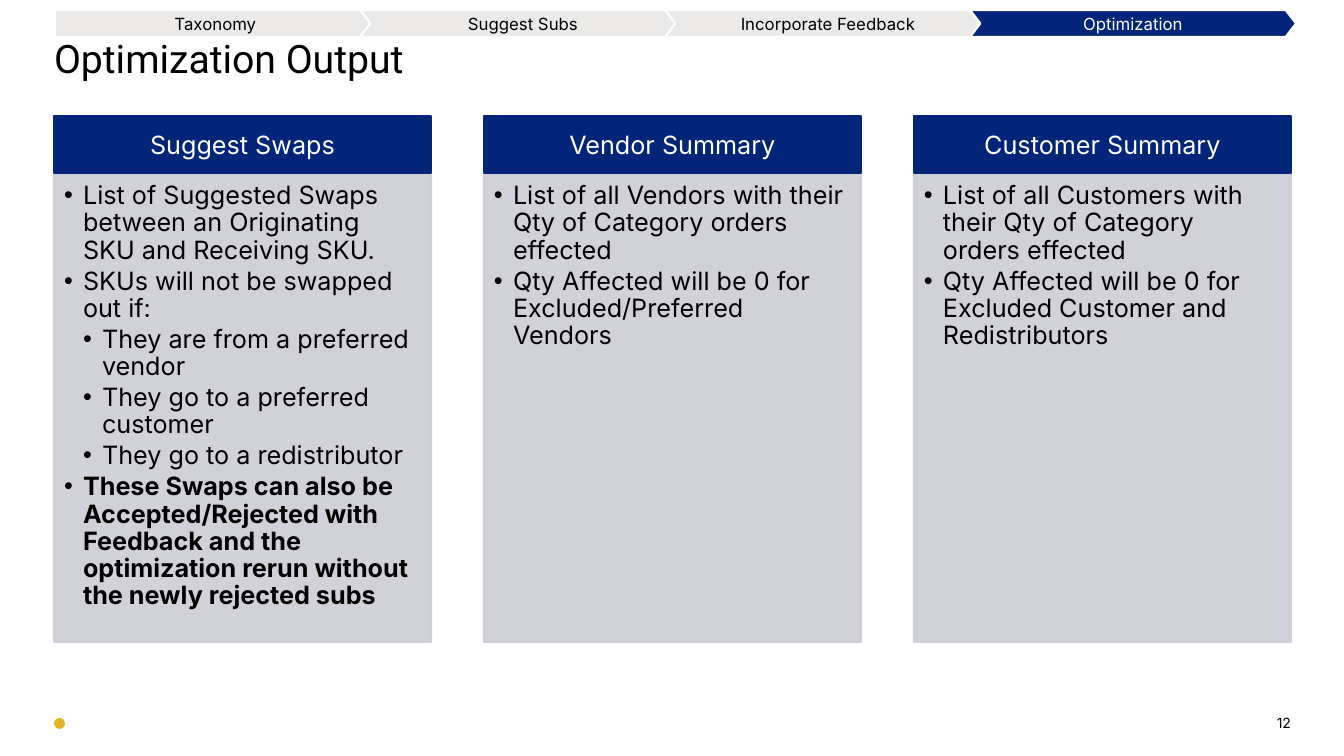
from lxml import etree
from pptx import Presentation, util as u
from pptx.dml.color import RGBColor
from pptx.enum import shapes, text
from pptx.oxml.ns import qn

PX = 12192000 / 1344
COLORS = {
    "navy": "022479",
    "step": "EBEAE9",
    "panel": "CCCDD7",
    "gold": "E1B523",
    "ink": "000000",
    "white": "FFFFFF",
}
STEPS = ["Taxonomy", "Suggest Subs", "Incorporate Feedback", "Optimization"]
COLUMNS = [
    ("Suggest Swaps", [
        (1, "List of Suggested Swaps between an Originating SKU and Receiving SKU.", False),
        (1, "SKUs will not be swapped out if:", False),
        (2, "They are from a preferred vendor", False),
        (2, "They go to a preferred customer", False),
        (2, "They go to a redistributor", False),
        (1, "These Swaps can also be Accepted/Rejected with Feedback and the "
            "optimization rerun without the newly rejected subs", True),
    ]),
    ("Vendor Summary", [
        (1, "List of all Vendors with their Qty of Category orders effected", False),
        (1, "Qty Affected will be 0 for Excluded/Preferred Vendors", False),
    ]),
    ("Customer Summary", [
        (1, "List of all Customers with their Qty of Category orders effected", False),
        (1, "Qty Affected will be 0 for Excluded Customer and Redistributors", False),
    ]),
]


def px(length):
    return u.Emu(round(length * PX))


def rgb(name):
    return RGBColor.from_string(COLORS[name])


def place(item, left, top, width, height):
    item.left, item.top, item.width, item.height = map(px, (left, top, width, height))


def paint(item, fill, line):
    item.fill.solid()
    item.fill.fore_color.rgb = rgb(fill)
    item.line.color.rgb = rgb(line)
    item.line.width = u.Pt(1.5)


def set_frame(frame, anchor, insets=(0, 0, 0, 0)):
    frame.word_wrap = True
    frame.auto_size = text.MSO_AUTO_SIZE.NONE
    frame.vertical_anchor = anchor
    frame.margin_left, frame.margin_top, frame.margin_right, frame.margin_bottom = map(px, insets)


def style(paragraph, size, color="ink", face="Inter", bold=False, align=text.PP_ALIGN.LEFT):
    paragraph.alignment = align
    for run in paragraph.runs:
        run.font.size = u.Pt(size)
        run.font.name = face
        run.font.bold = bold
        run.font.color.rgb = rgb(color)


def add_label(slide, kind, box, label, size, fill, line, color):
    item = slide.shapes.add_shape(kind, *map(px, box))
    item.shadow.inherit = False
    paint(item, fill, line)
    set_frame(item.text_frame, text.MSO_ANCHOR.MIDDLE, (10, 5, 10, 5))
    item.text_frame.text = label
    style(item.text_frame.paragraphs[0], size, color, align=text.PP_ALIGN.CENTER)
    return item


def add_step(slide, index, label):
    kind = shapes.MSO_SHAPE.CHEVRON if index else shapes.MSO_SHAPE.PENTAGON
    current = index == len(STEPS) - 1
    step = add_label(slide, kind, (55 + 305 * index, 10, 326, 27), label, 12,
                     "navy" if current else "step", "white", "white" if current else "ink")
    step.adjustments[0] = 0.384


def fill_title(title, wording):
    place(title, 54, 40, 1237, 43)
    set_frame(title.text_frame, text.MSO_ANCHOR.TOP)
    title.text_frame.text = wording
    title.text_frame.paragraphs[0].line_spacing = 0.9
    style(title.text_frame.paragraphs[0], 28, face="Roboto")


def add_bullet(paragraph, level):
    paragraph.level = level
    properties = paragraph._p.get_or_add_pPr()
    properties.set("marL", str(px(19 * level)))
    properties.set("indent", str(px(-19)))
    etree.SubElement(properties, qn("a:buChar")).set("char", "•")
    paragraph.line_spacing = 0.9
    paragraph.space_before = u.Pt(0)
    paragraph.space_after = u.Pt(2.7)


def fill_list(panel, left, points):
    place(panel, left, 173, 377, 469)
    paint(panel, "panel", "panel")
    for color in panel._element.spPr.iter(qn("a:srgbClr")):
        etree.SubElement(color, qn("a:alpha")).set("val", "90000")
    frame = panel.text_frame
    set_frame(frame, text.MSO_ANCHOR.TOP, (10, 10, 14, 16))
    frame.text = "\n".join(wording for _, wording, _ in points)
    for paragraph, (level, _, bold) in zip(frame.paragraphs, points):
        add_bullet(paragraph, level)
        style(paragraph, 18, bold=bold)


def add_column(slide, index, panel, heading, points):
    left = 54 + 430 * index
    fill_list(panel, left, points)
    add_label(slide, shapes.MSO_SHAPE.RECTANGLE, (left, 116, 377, 57), heading, 18,
              "navy", "navy", "white")


def add_footer(slide):
    mark = slide.shapes.add_shape(shapes.MSO_SHAPE.OVAL, *map(px, (54, 718, 11, 11)))
    mark.shadow.inherit = False
    paint(mark, "gold", "gold")
    mark.line.fill.background()
    number = slide.shapes.add_textbox(*map(px, (1213, 714, 78, 17)))
    set_frame(number.text_frame, text.MSO_ANCHOR.BOTTOM)
    number.text_frame.text = "12"
    style(number.text_frame.paragraphs[0], 10, align=text.PP_ALIGN.RIGHT)


def main():
    deck = Presentation()
    deck.slide_width, deck.slide_height = px(1344), px(756)
    slide = deck.slides.add_slide(deck.slide_layouts.get_by_name("Comparison"))
    title, *panels = slide.placeholders
    spare = panels.pop()
    spare._element.getparent().remove(spare._element)

    fill_title(title, "Optimization Output")
    for index, label in enumerate(STEPS):
        add_step(slide, index, label)
    for index, (panel, (heading, points)) in enumerate(zip(panels, COLUMNS)):
        add_column(slide, index, panel, heading, points)
    add_footer(slide)
    deck.save("out.pptx")


if __name__ == "__main__":
    main()
